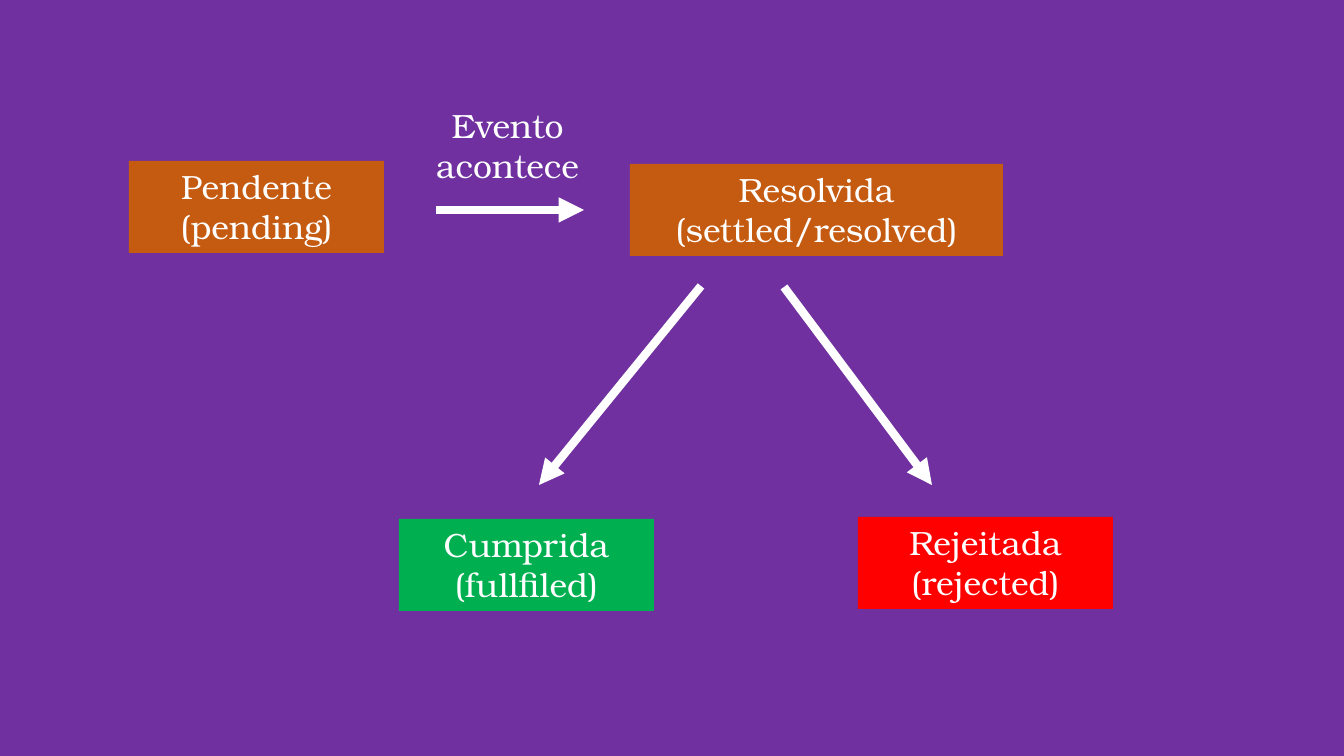
from lxml import etree
from pptx import Presentation
from pptx.dml.color import RGBColor
from pptx.enum.shapes import MSO_CONNECTOR, MSO_SHAPE
from pptx.enum.text import MSO_ANCHOR, MSO_AUTO_SIZE, PP_ALIGN
from pptx.oxml.ns import qn
from pptx.util import Pt

RECTANGLE = MSO_SHAPE.RECTANGLE
STRAIGHT = MSO_CONNECTOR.STRAIGHT
TOP = MSO_ANCHOR.TOP
GROW = MSO_AUTO_SIZE.SHAPE_TO_FIT_TEXT
CENTER = PP_ALIGN.CENTER

EMU_PER_PIXEL = 914400 / 100.8
BLANK_LAYOUT = 6
PURPLE = "7030A0"
ORANGE = "C55A11"
GREEN = "00B050"
RED = "FF0000"
WHITE = "FFFFFF"
STATE_WIDTH = 255
STATE_HEIGHT = 92


def px(*lengths):
    return [round(length * EMU_PER_PIXEL) for length in lengths]


def color(hex_string):
    return RGBColor.from_string(hex_string)


class Diagram:
    font = "TeX Gyre Bonum"
    font_size = Pt(24)
    line_width = Pt(6)
    foreground = WHITE

    def __init__(self, slide, background):
        self.slide = slide
        fill = slide.background.fill
        fill.solid()
        fill.fore_color.rgb = color(background)

    def add_lines(self, shape, lines):
        frame = shape.text_frame
        frame.word_wrap = True
        frame.auto_size = GROW
        frame.vertical_anchor = TOP
        for index, line in enumerate(lines):
            paragraph = frame.add_paragraph() if index else frame.paragraphs[0]
            paragraph.alignment = CENTER
            run = paragraph.add_run()
            run.text = line
            run.font.name = self.font
            run.font.size = self.font_size
            run.font.color.rgb = color(self.foreground)

    def state(self, left, top, fill, lines, width=STATE_WIDTH):
        shape = self.slide.shapes.add_shape(
            RECTANGLE, *px(left, top, width, STATE_HEIGHT))
        shape.shadow.inherit = False
        shape.fill.solid()
        shape.fill.fore_color.rgb = color(fill)
        shape.line.fill.background()
        self.add_lines(shape, lines)

    def label(self, left, top, text):
        shape = self.slide.shapes.add_textbox(
            *px(left, top, STATE_WIDTH, STATE_HEIGHT))
        self.add_lines(shape, [text])

    def arrow(self, start, end):
        connector = self.slide.shapes.add_connector(
            STRAIGHT, *px(*start, *end))
        connector.line.width = self.line_width
        connector.line.color.rgb = color(self.foreground)
        properties = connector.element.spPr
        line = properties.find(qn("a:ln"))
        etree.SubElement(line, qn("a:tailEnd"), type="triangle")
        etree.SubElement(properties, qn("a:effectLst"))


presentation = Presentation()
presentation.slide_width, presentation.slide_height = px(1344, 756)
slide = presentation.slides.add_slide(presentation.slide_layouts[BLANK_LAYOUT])
diagram = Diagram(slide, PURPLE)

diagram.state(858, 517, RED, ["Rejeitada", "(rejected)"])
diagram.state(399, 519, GREEN, ["Cumprida", "(fullfiled)"])
diagram.state(630, 164, ORANGE, ["Resolvida", "(settled/resolved)"], width=373)
diagram.state(129, 161, ORANGE, ["Pendente", "(pending)"])
diagram.label(380, 100, "Evento acontece")
for start, end in [
    ((436, 210), (584, 210)),
    ((701, 286), (539, 485)),
    ((784, 287), (932, 485)),
]:
    diagram.arrow(start, end)

presentation.save("out.pptx")
